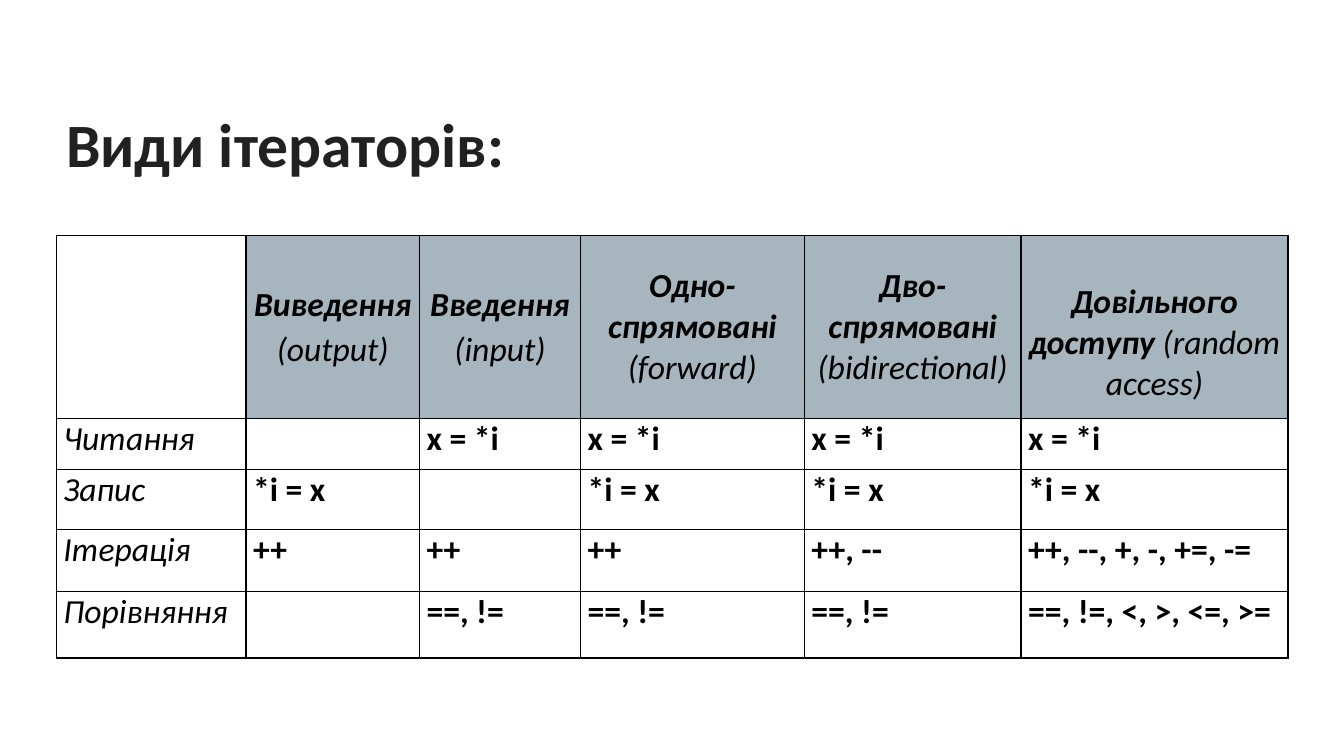
from dataclasses import dataclass

from lxml.etree import SubElement
from pptx import Presentation
from pptx.dml.color import RGBColor
from pptx.enum.text import MSO_ANCHOR as ANCHOR, MSO_AUTO_SIZE as AUTO_SIZE, PP_ALIGN as ALIGN
from pptx.oxml.ns import qn
from pptx.util import Cm, Pt

FONT = "Calibri"
BLACK, TITLE_COLOR, HEADER_FILL = "000000", "212121", "A7B5BE"
INSET = 0.18


@dataclass
class Header:
    name: str
    term: str
    two_paragraphs: bool = False
    top_inset: float = 0


HEADERS = [
    Header("Виведення", "(output)", two_paragraphs=True),
    Header("Введення", "(input)", two_paragraphs=True),
    Header("Одно-спрямовані", "(forward)"),
    Header("Дво-спрямовані", "(bidirectional)"),
    Header("Довільного доступу", "(random access)", top_inset=0.81),
]
OPERATIONS = [
    ["Читання", "", "x = *i", "x = *i", "x = *i", "x = *i"],
    ["Запис", "*i = x", "", "*i = x", "*i = x", "*i = x"],
    ["Ітерація", "++", "++", "++", "++, --", "++, --, +, -, +=, -="],
    ["Порівняння", "", "==, !=", "==, !=", "==, !=", "==, !=, <, >, <=, >="],
]
COL_WIDTHS = [4.78, 4.37, 4.06, 5.64, 5.46, 6.73]
ROW_HEIGHTS = [4.61, 1.28, 1.52, 1.55, 1.68]


def rgb(value: str) -> RGBColor:
    return RGBColor.from_string(value)


def style(p, size: float, color: str, before: float, bold=None, italic=None) -> None:
    p.space_before = Pt(before)
    f = p.font
    f.name, f.size, f.bold, f.italic = FONT, Pt(size), bold, italic
    f.color.rgb = rgb(color)


def add_run(p, text: str, bold: bool) -> None:
    r = p.add_run()
    r.text = text
    r.font.bold = bold


def format_cell(cell, fill: str = "", top_inset: float = 0) -> None:
    """Set the insets, thin black borders and fill of a cell."""
    cell.margin_left = cell.margin_right = Cm(INSET)
    cell.margin_top, cell.margin_bottom = Cm(top_inset), 0
    tc_pr = cell._tc.get_or_add_tcPr()
    for side in ("a:lnL", "a:lnR", "a:lnT", "a:lnB"):
        ln = SubElement(tc_pr, qn(side), w=str(Pt(1)))
        SubElement(SubElement(ln, qn("a:solidFill")), qn("a:srgbClr"), val=BLACK)
    if fill:
        cell.fill.solid()
        cell.fill.fore_color.rgb = rgb(fill)
    else:
        cell.fill.background()


def fill_header(cell, header: Header) -> None:
    format_cell(cell, HEADER_FILL, header.top_inset)
    cell.vertical_anchor = ANCHOR.MIDDLE
    tf = cell.text_frame
    p = tf.paragraphs[0]
    if header.two_paragraphs:
        add_run(p, header.name, True)
        add_run(tf.add_paragraph(), header.term, False)
    else:
        add_run(p, header.name + " ", True)
        add_run(p, header.term, False)
    for p in tf.paragraphs:
        p.alignment = ALIGN.CENTER
        style(p, 24, BLACK, 3, italic=True)


def fill_operation(cell, text: str, is_label: bool) -> None:
    format_cell(cell)
    if text:
        cell.text = text
        style(cell.text_frame.paragraphs[0], 24, BLACK, 3, bold=not is_label, italic=is_label)


def add_title(slide) -> None:
    tf = slide.shapes.add_textbox(Cm(1.42), Cm(2.54), Cm(30.1), Cm(2.13)).text_frame
    tf.word_wrap = True
    tf.auto_size = AUTO_SIZE.SHAPE_TO_FIT_TEXT
    p = tf.paragraphs[0]
    p.text = "Види ітераторів:"
    style(p, 44, TITLE_COLOR, 4.5, bold=True)


def add_iterator_table(slide) -> None:
    table = slide.shapes.add_table(
        len(ROW_HEIGHTS), len(COL_WIDTHS), Cm(1.42), Cm(5.94),
        Cm(sum(COL_WIDTHS)), Cm(sum(ROW_HEIGHTS))).table
    table.first_row = table.horz_banding = False
    for column, width in zip(table.columns, COL_WIDTHS):
        column.width = Cm(width)
    for row, height in zip(table.rows, ROW_HEIGHTS):
        row.height = Cm(height)

    # Header row
    format_cell(table.cell(0, 0))
    for col, header in enumerate(HEADERS, 1):
        fill_header(table.cell(0, col), header)

    # Operations
    for row, texts in enumerate(OPERATIONS, 1):
        for col, text in enumerate(texts):
            fill_operation(table.cell(row, col), text, is_label=col == 0)


def main() -> None:
    prs = Presentation()
    prs.slide_width, prs.slide_height = Cm(33.87), Cm(19.05)
    slide = prs.slides.add_slide(prs.slide_layouts[6])
    add_title(slide)
    add_iterator_table(slide)
    prs.save("out.pptx")


if __name__ == "__main__":
    main()
